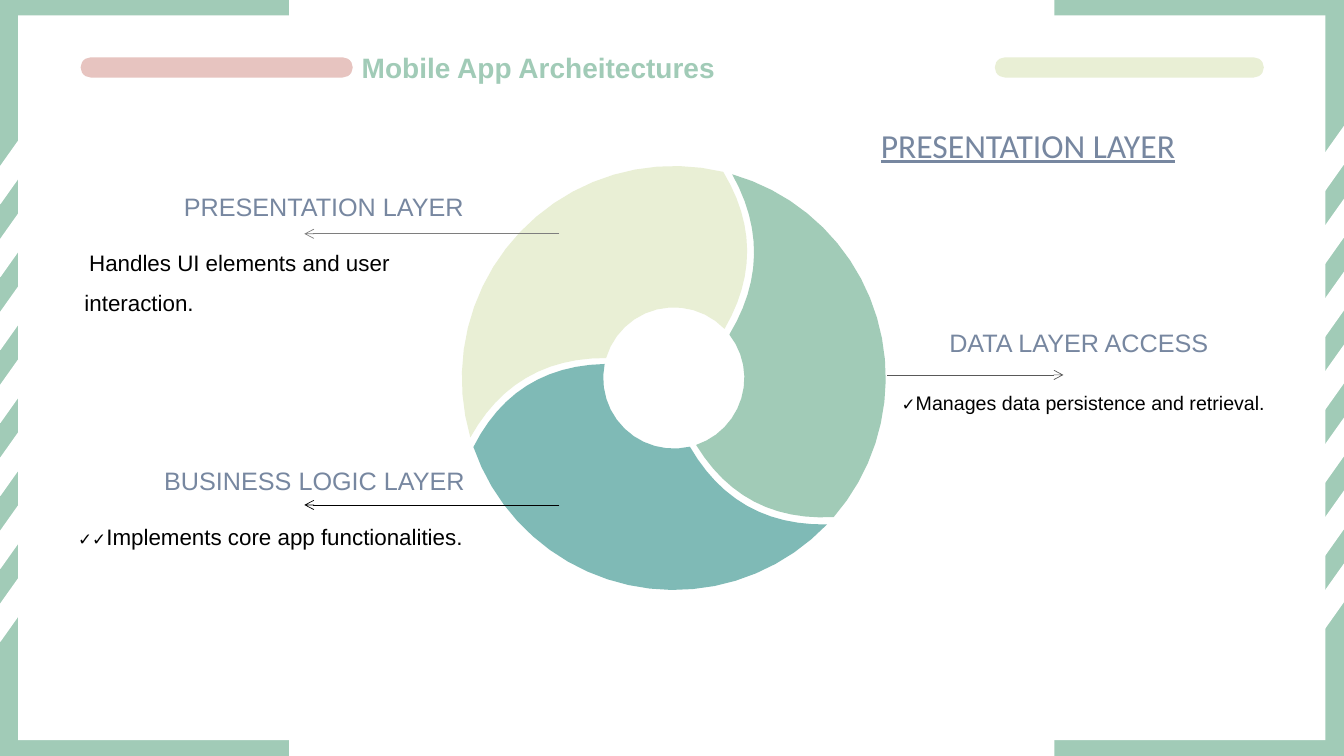
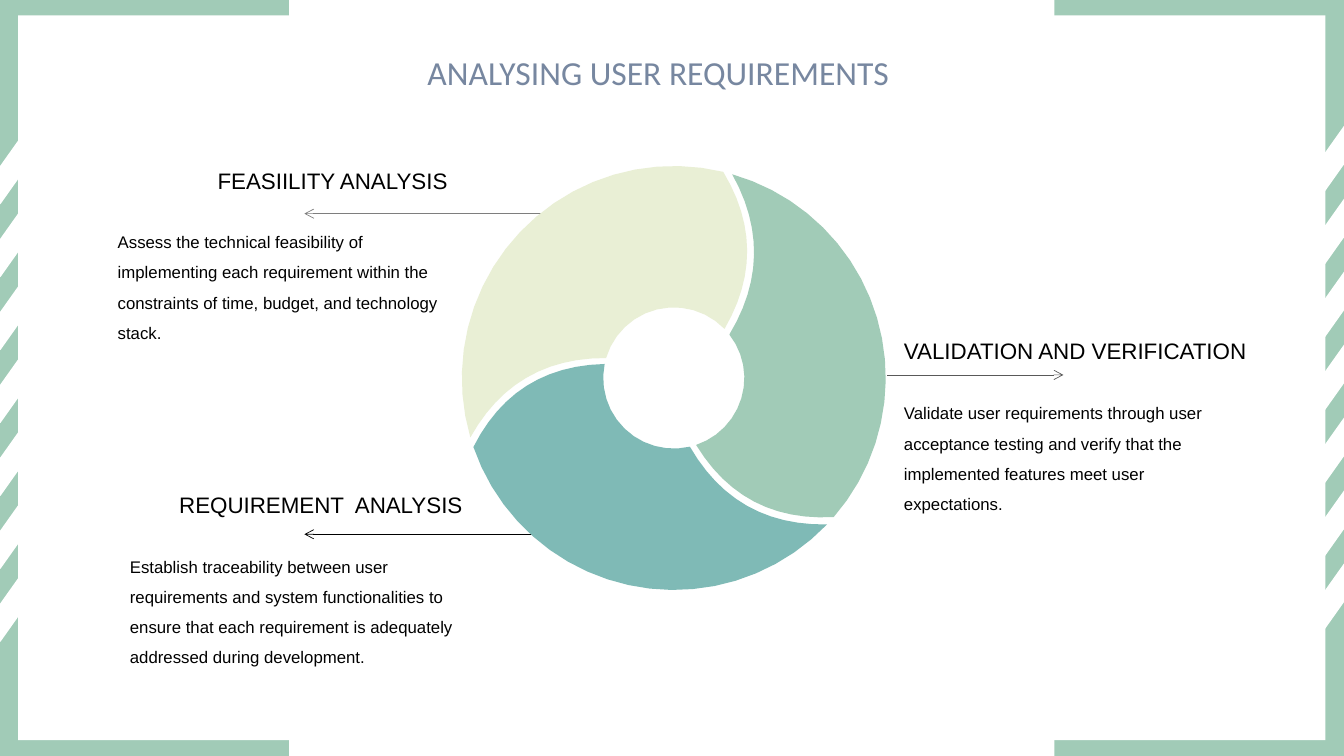
from math import cos, hypot, radians, sin

from lxml.etree import SubElement
from pptx import Presentation
from pptx.dml.color import RGBColor
from pptx.enum.shapes import MSO_CONNECTOR, MSO_SHAPE
from pptx.enum.text import PP_ALIGN
from pptx.oxml.ns import qn
from pptx.util import Pt

W, H = 960, 540
WHITE, BLACK, SLATE = "FFFFFF", "000000", "7787A0"
GREEN, TEAL, LIME, ROSE = "A1CBB7", "7FBAB6", "E9EFD5", "E7C4C0"
LEFT, RIGHT, CENTER, JUSTIFY = PP_ALIGN.LEFT, PP_ALIGN.RIGHT, PP_ALIGN.CENTER, PP_ALIGN.JUSTIFY

STYLES = {
    "title": dict(font="Calibri", color=SLATE),
    "underlined": dict(font="Calibri", color=SLATE, underline=True),
    "banner": dict(font="Arial", color=GREEN, bold=True),
    "label": dict(font="Arial", color=SLATE),
    "heading": dict(font="Arial", color=BLACK),
    "body": dict(font="Arial", color=BLACK, spacing=1.5),
}

CX, CY, OUTER, INNER, BULGE = 481.3, 270, 151.4, 50.4, 16.6
PETALS = [
    (TEAL, (43.7, 161), (191.5, 76.8)),
    (GREEN, (286, 401), (431.6, 322)),
    (LIME, (163.7, 283.5), (316, 196.4)),
]

STRIPES, STRIPE_TOP, STRIPE_STEP = 7, 107.3, 52.1
STRIPE_LEFTS = (-17.3, 922.3)

ARROW_RIGHT = (633.6, 759.6, 267.8, "595959")

ARCHITECTURE = {
    "bars": [(57.6, 194.4, ROSE), (710.6, 192.2, LIME)],
    "arrows": [ARROW_RIGHT, (399.6, 217.4, 360.7, BLACK), (399.6, 217.4, 167, "7E7E7E")],
    "texts": [
        ("label", (90.7, 133.2, 247.7, 28.8), RIGHT, [("PRESENTATION LAYER", 18)]),
        ("body", (53.3, 164.9, 285.1, 65.5), LEFT,
         [(" ", 12), ("Handles UI elements and user interaction.", 16)]),
        ("label", (66.2, 329, 272.9, 28.8), RIGHT, [("BUSINESS LOGIC LAYER", 18)]),
        ("body", (45.4, 360.7, 308.9, 36), LEFT,
         [(" ✓✓", 12), ("Implements core app functionalities.", 16)]),
        ("label", (671, 230.4, 247.7, 28.8), LEFT, [("DATA LAYER ACCESS", 18)]),
        ("body", (633.6, 267.1, 285.1, 32.4), LEFT,
         [(" ✓", 12), ("Manages data persistence and retrieval.", 14)]),
        ("underlined", (622.1, 85.7, 316.8, 36), LEFT, [("PRESENTATION LAYER", 24)]),
        ("banner", (251.3, 32.4, 459.4, 31), JUSTIFY, [("Mobile App Archeitectures", 20)]),
    ],
}

REQUIREMENTS = {
    "arrows": [ARROW_RIGHT, (399.6, 217.4, 381.6, BLACK), (399.6, 217.4, 152.6, "7E7E7E")],
    "texts": [
        ("title", (172.1, 33.8, 596.2, 36), CENTER, [("ANALYSING USER REQUIREMENTS", 24)]),
        ("heading", (148.3, 115.9, 222.5, 26.6), LEFT, [("FEASIILITY ANALYSIS", 16)]),
        ("body", (77, 154.8, 252.7, 94.3), LEFT,
         [("Assess the technical feasibility of implementing each requirement within "
           "the constraints of time, budget, and technology stack.", 12)]),
        ("heading", (77, 347, 260.6, 26.6), RIGHT, [("REQUIREMENT  ANALYSIS", 16)]),
        ("body", (85.7, 386.6, 252.7, 94.3), LEFT,
         [("Establish traceability between user requirements and system functionalities to "
           "ensure that each requirement is adequately addressed during development.", 12)]),
        ("heading", (638.6, 237.6, 281.5, 26.6), LEFT, [("VALIDATION AND VERIFICATION", 16)]),
        ("body", (638.6, 277.2, 252.7, 94.3), LEFT,
         [("Validate user requirements through user acceptance testing and verify that "
           "the implemented features meet user expectations.", 12)]),
    ],
}


def rgb(color):
    return RGBColor.from_string(color)


def paint(sp, fill, line=None):
    sp.shadow.inherit = False
    sp.fill.solid()
    sp.fill.fore_color.rgb = rgb(fill)
    if line:
        sp.line.color.rgb = rgb(line)
        sp.line.width = Pt(1)
    else:
        sp.line.fill.background()


def add_box(s, kind, box, fill, line=None):
    sp = s.shapes.add_shape(kind, *map(Pt, box))
    paint(sp, fill, line)
    return sp


def add_frame(s):
    for box, fill in [((0, 0, W, H), GREEN), ((206.6, 0, 546.5, H), WHITE),
                      ((13, 11, 933.8, 517.7), WHITE)]:
        add_box(s, MSO_SHAPE.RECTANGLE, box, fill)
    for x in STRIPE_LEFTS:
        for i in range(STRIPES):
            box = (x, STRIPE_TOP + i * STRIPE_STEP, 55.4, 20.9)
            sp = add_box(s, MSO_SHAPE.PARALLELOGRAM, box, WHITE, WHITE)
            sp.adjustments[0] = 1.41
            sp.rotation = 270
            sp.element.spPr.find(qn("a:xfrm")).set("flipH", "1")


def arc(radius, start, end, steps):
    angles = [radians(start + (end - start) * i / steps) for i in range(steps + 1)]
    return [(CX + radius * cos(a), CY + radius * sin(a)) for a in angles]


def swirl(a, b, bulge, steps=12):
    dx, dy = b[0] - a[0], b[1] - a[1]
    length = hypot(dx, dy)
    points = []
    for i in range(1, steps):
        t = i / steps
        k = 4 * t * (1 - t) * bulge / length
        points.append((a[0] + t * dx + k * dy, a[1] + t * dy - k * dx))
    return points


def add_wheel(s):
    for color, outer_span, inner_span in PETALS:
        outer = arc(OUTER, *outer_span, 20)
        inner = arc(INNER, *inner_span, 12)
        points = (outer + swirl(outer[-1], inner[0], BULGE)
                  + inner + swirl(inner[-1], outer[0], -BULGE))
        outline = [(Pt(x), Pt(y)) for x, y in points]
        fb = s.shapes.build_freeform(*outline[0], scale=1.0)
        fb.add_line_segments(outline[1:], close=True)
        paint(fb.convert_to_shape(), color)


def add_arrow(s, x1, x2, y, color):
    c = s.shapes.add_connector(MSO_CONNECTOR.STRAIGHT, Pt(x1), Pt(y), Pt(x2), Pt(y))
    c.line.color.rgb = rgb(color)
    c.line.width = Pt(0.5)
    SubElement(c.line._get_or_add_ln(), qn("a:tailEnd"), type="arrow")
    SubElement(c._element.spPr, qn("a:effectLst"))


def add_text(s, style, box, align, runs):
    look = STYLES[style]
    tf = s.shapes.add_textbox(*map(Pt, box)).text_frame
    tf.word_wrap = True
    p = tf.paragraphs[0]
    p.alignment = align
    p.line_spacing = look.get("spacing")
    for text, size in runs:
        r = p.add_run()
        r.text = text
        r.font.size = Pt(size)
        r.font.name = look["font"]
        r.font.color.rgb = rgb(look["color"])
        r.font.bold = look.get("bold")
        r.font.underline = look.get("underline")


def add_slide(prs, content):
    s = prs.slides.add_slide(prs.slide_layouts[6])
    add_frame(s)
    return s, content


def add_arrows(s, content):
    for arrow in content["arrows"]:
        add_arrow(s, *arrow)


def add_texts(s, content):
    for text in content["texts"]:
        add_text(s, *text)


def main():
    prs = Presentation()
    prs.slide_width, prs.slide_height = Pt(W), Pt(H)
    for content, layers in [
        (ARCHITECTURE, (add_wheel, add_arrows, add_texts)),
        (REQUIREMENTS, (add_arrows, add_wheel, add_texts)),
    ]:
        s = prs.slides.add_slide(prs.slide_layouts[6])
        add_frame(s)
        for layer in layers:
            if layer is add_wheel:
                layer(s)
            else:
                layer(s, content)
        for x, width, color in content.get("bars", []):
            bar = add_box(s, MSO_SHAPE.ROUNDED_RECTANGLE, (x, 41, width, 14.4), color)
            bar.adjustments[0] = 0.5
    prs.save("out.pptx")


if __name__ == "__main__":
    main()
